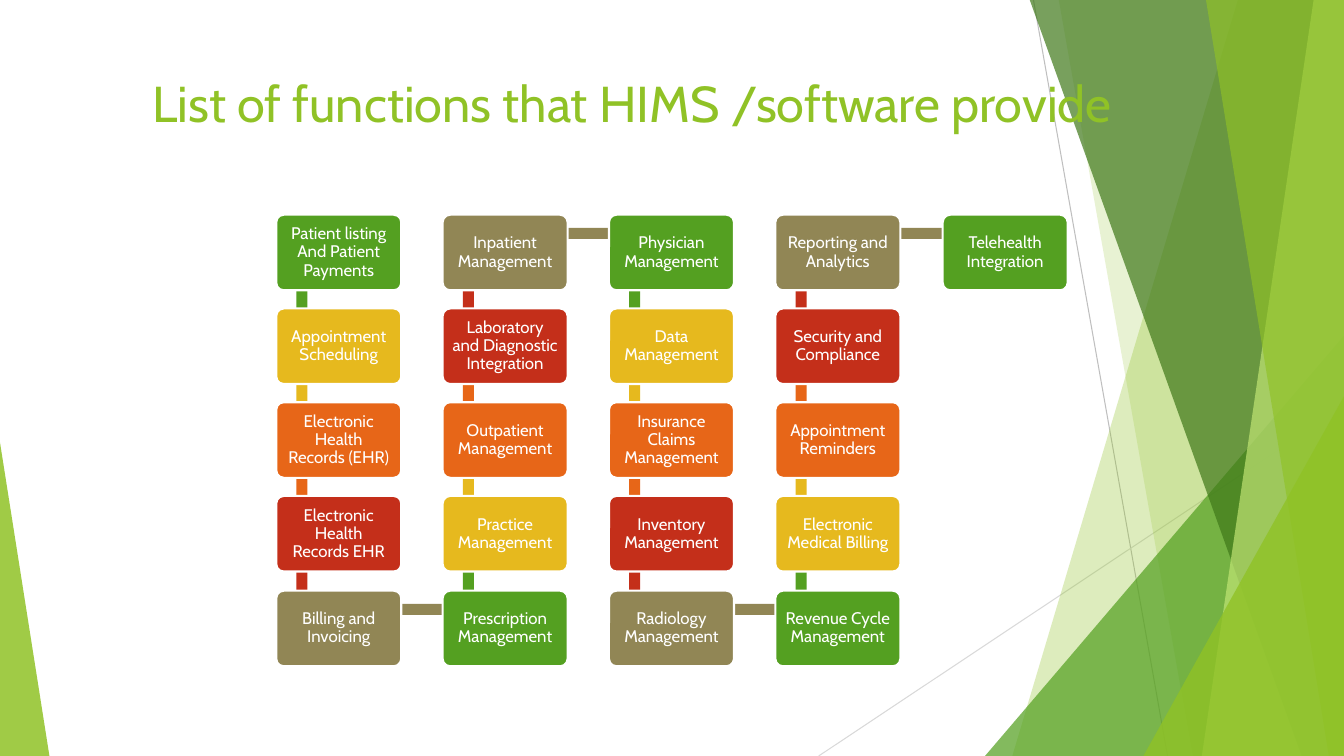
from pptx import Presentation, util as u
from pptx.dml.color import RGBColor
from pptx.enum import shapes as sh, text as tx
from pptx.oxml.ns import qn
from lxml import etree

PX = 9144  # 100 px to the inch
FONT = "Cabin"
HUE = {
    "lime": "90C226", "pale": "C0E474", "dark": "3F7819", "green": "54A021",
    "yellow": "E6B91E", "orange": "E76618", "red": "C42F1A", "taupe": "918655",
    "white": "FFFFFF", "gray": "BFBFBF", "mist": "D9D9D9",
}
TITLE = "List of functions that HIMS /software provide"

# Functions in reading order: down one column, up the next
STEPS = [
    "Patient listing And Patient Payments", "Appointment Scheduling",
    "Electronic Health Records (EHR)", "Electronic Health Records EHR",
    "Billing and Invoicing",
    "Prescription Management", "Practice Management", "Outpatient Management",
    "Laboratory and Diagnostic Integration", "Inpatient Management",
    "Physician Management", "Data Management", "Insurance Claims Management",
    "Inventory Management", "Radiology Management",
    "Revenue Cycle Management", "Electronic Medical Billing",
    "Appointment Reminders", "Security and Compliance",
    "Reporting and Analytics",
    "Telehealth Integration",
]
CYCLE = ["green", "yellow", "orange", "red", "taupe"]

# Backdrop: lines as ends; facets as corners, hue, opacity %
LINES = [((1025, 0), (1158, 750), "gray"), ((1333, 403), (812, 750), "mist")]
FACETS = [
    ([(1228, -1), (1333, -1), (1333, 750), (1004, 750)], "lime", 30),
    ([(1050, -1), (1333, -1), (1333, 750), (1183, 750)], "lime", 20),
    ([(1333, 333), (1333, 750), (977, 750)], "green", 72),
    ([(1021, -1), (1333, -1), (1333, 750), (1291, 750)], "dark", 70),
    ([(1303, -1), (1333, -1), (1333, 750), (1192, 750)], "pale", 70),
    ([(1196, -1), (1333, -1), (1333, 750), (1318, 750)], "lime", 65),
    ([(1333, 393), (1333, 750), (1134, 750)], "lime", 80),
    ([(0, 439), (49, 750), (0, 750)], "lime", 85),
]

# Grid: five rows and five columns, spread evenly over a span
ROWS = 5
LEFT, TOP, WIDE, HIGH = 274, 213, 124, 75
SPAN_X, SPAN_Y = 661, 373
BAR = 11


def rgb(hue):
    return RGBColor.from_string(HUE[hue])


def px(*nums):
    return [u.Emu(n * PX) for n in nums]


def paint(shape, hue, alpha=100):
    shape.shadow.inherit = False
    shape.fill.solid()
    shape.fill.fore_color.rgb = rgb(hue)
    shape.line.fill.background()
    if alpha < 100:
        tint = shape.element.spPr.find(".//" + qn("a:srgbClr"))
        etree.SubElement(tint, qn("a:alpha"), val=str(alpha * 1000))


def style(para, size, hue, align):
    para.alignment = align
    para.font.name = FONT
    para.font.size = u.Pt(size)
    para.font.color.rgb = rgb(hue)


def cell(i):
    col, row = divmod(i, ROWS)
    if col % 2:
        row = ROWS - 1 - row
    return LEFT + SPAN_X * col // 4, TOP + SPAN_Y * row // 4


deck = Presentation()
deck.slide_width, deck.slide_height = px(1333, 750)
slide = deck.slides.add_slide(deck.slide_layouts[5])
parts = slide.shapes

# Backdrop
for start, end, hue in LINES:
    line = parts.add_connector(sh.MSO_CONNECTOR.STRAIGHT, *px(*start, *end))
    line.line.color.rgb = rgb(hue)
    line.line.width = u.Pt(0.75)
    etree.SubElement(line.element.spPr, qn("a:effectLst"))
for pts, hue, alpha in FACETS:
    form = parts.build_freeform(*pts[0], scale=PX)
    form.add_line_segments(pts[1:], close=True)
    paint(form.convert_to_shape(), hue, alpha)

# Title, raised above the backdrop
title = parts.title
parts.element.append(title.element)
title.left, title.top, title.width, title.height = px(141, 67, 1115, 120)
frame = title.text_frame
frame.text = TITLE
frame.vertical_anchor = tx.MSO_ANCHOR.TOP
style(frame.paragraphs[0], 36, "lime", tx.PP_ALIGN.LEFT)

# Chain of boxes, each link lying under the two boxes it joins
for i, name in enumerate(STEPS):
    x, y = cell(i)
    hue = CYCLE[i % len(CYCLE)]
    if i + 1 < len(STEPS):
        x2, y2 = cell(i + 1)
        if x2 > x:
            spot = x + 25, y + 13, x2 - x, BAR
        else:
            spot = x + 20, min(y, y2) + 18, BAR, abs(y2 - y)
        paint(parts.add_shape(sh.MSO_SHAPE.RECTANGLE, *px(*spot)), hue)

    box = parts.add_shape(sh.MSO_SHAPE.ROUNDED_RECTANGLE, *px(x, y, WIDE, HIGH))
    box.adjustments[0] = 0.1
    paint(box, hue)
    box.line.color.rgb = rgb("white")
    box.line.width = u.Pt(1.5)
    frame = box.text_frame
    frame.text = name
    frame.word_wrap = True
    frame.vertical_anchor = tx.MSO_ANCHOR.MIDDLE
    frame.margin_left = frame.margin_right = u.Emu(7 * PX)
    frame.margin_top = frame.margin_bottom = u.Emu(7 * PX)
    para = frame.paragraphs[0]
    para.line_spacing = 0.9
    style(para, 12, "white", tx.PP_ALIGN.CENTER)

deck.save("out.pptx")
